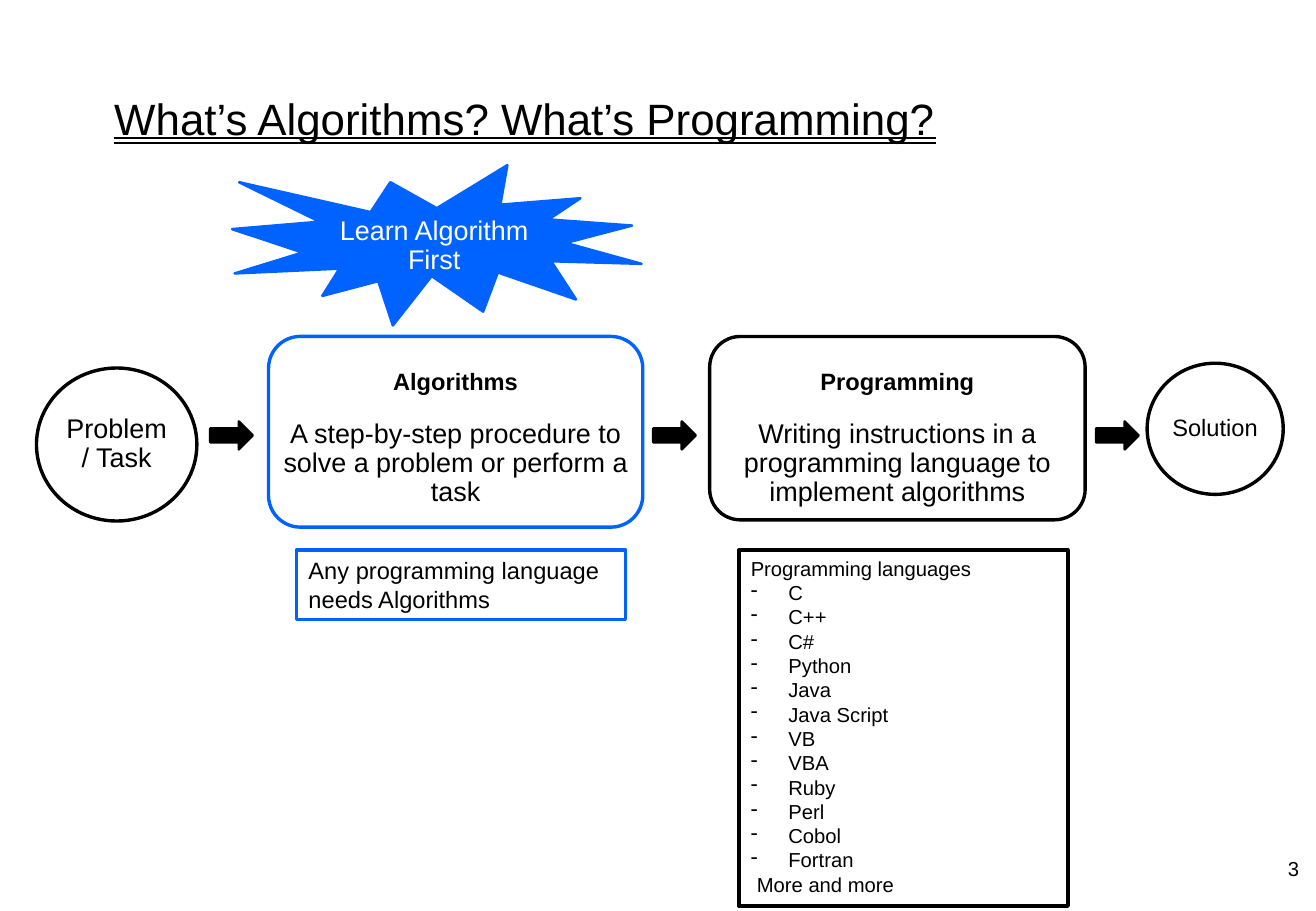
from lxml.etree import SubElement
from pptx import Presentation
from pptx.dml.color import RGBColor
from pptx.enum.shapes import MSO_SHAPE
from pptx.enum.text import MSO_ANCHOR, MSO_UNDERLINE, PP_ALIGN
from pptx.oxml.ns import qn
from pptx.util import Inches, Pt

BLACK, BLUE, WHITE = "000000", "0062FF", "FFFFFF"
LANGUAGES = ["C", "C++", "C#", "Python", "Java", "Java Script", "VB", "VBA",
             "Ruby", "Perl", "Cobol", "Fortran"]


def color(hex_value):
    """Turn a hex string into a colour."""
    return RGBColor.from_string(hex_value)


def add_outline(slide, kind, box, line=None, fill=None, width=2):
    """Place a preset shape with round line joins."""
    shape = slide.shapes.add_shape(kind, *map(Inches, box))
    shape.shadow.inherit = False
    if fill:
        shape.fill.solid()
        shape.fill.fore_color.rgb = color(fill)
    else:
        shape.fill.background()
    if line:
        shape.line.color.rgb = color(line)
        shape.line.width = Pt(width)
        SubElement(shape.line._get_or_add_ln(), qn("a:round"))
    else:
        shape.line.fill.background()
    return shape


def set_frame(shape, insets=(0.04, 0.04), anchor=MSO_ANCHOR.TOP):
    """Set wrapping, insets (horizontal, vertical) and anchor of the text."""
    frame = shape.text_frame
    frame.word_wrap = True
    frame.vertical_anchor = anchor
    frame.margin_left = frame.margin_right = Inches(insets[0])
    frame.margin_top = frame.margin_bottom = Inches(insets[1])
    return frame


def write(frame, text, size, ink=BLACK, align=PP_ALIGN.LEFT, spacing=None,
          bold=False, before=0, margin=0, bullet=None):
    """Write one paragraph, reusing the first one while it is empty."""
    first = frame.paragraphs[0]
    paragraph = frame.add_paragraph() if first.runs else first
    paragraph.text = text
    paragraph.alignment = align
    paragraph.line_spacing = spacing
    paragraph.space_before = Pt(before)
    properties = paragraph._p.get_or_add_pPr()
    properties.set("marL", str(Inches(margin)))
    if bullet:
        properties.set("indent", str(-Inches(margin)))
        SubElement(properties, qn("a:buChar"), char=bullet)
    font = paragraph.font
    font.name, font.size, font.bold = "Arial", Pt(size), bold
    font.color.rgb = color(ink)
    return paragraph


def add_title(slide, box, text):
    """Place the underlined title."""
    title = add_outline(slide, MSO_SHAPE.RECTANGLE, box, fill=WHITE)
    paragraph = write(set_frame(title, (0.46, 0.45)), text, 26, spacing=0.9, margin=0.21)
    paragraph.font.underline = MSO_UNDERLINE.DOUBLE_LINE


def add_endpoint(slide, box, text, size):
    """Place a circle that starts or ends the flow."""
    circle = add_outline(slide, MSO_SHAPE.OVAL, box, BLACK)
    write(set_frame(circle, anchor=MSO_ANCHOR.MIDDLE), text, size,
          align=PP_ALIGN.CENTER, spacing=0.9)


def add_stage(slide, box, line, heading, meaning):
    """Place a rounded stage with its heading and meaning."""
    stage = add_outline(slide, MSO_SHAPE.FLOWCHART_ALTERNATE_PROCESS, box, line)
    frame = set_frame(stage, (0.04, 0.2))
    write(frame, heading, 14, align=PP_ALIGN.CENTER, spacing=0.9, bold=True)
    write(frame, meaning, 16, align=PP_ALIGN.CENTER, spacing=0.9, before=14.5)


def add_note(slide, box, line, lead, size, items=(), closing=None):
    """Place a framed note with optional bulleted items and a closing line."""
    frame = set_frame(add_outline(slide, MSO_SHAPE.RECTANGLE, box, line), (0.1, 0.05))
    write(frame, lead, size)
    for item in items:
        write(frame, item, size, margin=0.31, bullet="-")
    if closing:
        write(frame, closing, size, margin=0.05)


def add_burst(slide, box, lines):
    """Place the starburst with its call."""
    burst = add_outline(slide, MSO_SHAPE.EXPLOSION1, box, BLUE, BLUE, 1.5)
    frame = set_frame(burst)
    for line in lines:
        write(frame, line, 16, WHITE, PP_ALIGN.CENTER, 0.9)


def add_page_number(slide, box, number):
    """Place the page number at the lower right."""
    page = slide.shapes.add_textbox(*map(Inches, box))
    write(set_frame(page, (0, 0), MSO_ANCHOR.MIDDLE), number, 12, align=PP_ALIGN.RIGHT)


def main():
    """Build the slide and save it."""
    deck = Presentation()
    deck.slide_width, deck.slide_height = Inches(10.83), Inches(7.5)
    slide = deck.slides.add_slide(deck.slide_layouts[6])
    add_title(slide, (0.27, 0.35, 10.29, 1.01), "What’s Algorithms? What’s Programming?")
    add_page_number(slide, (8.52, 7.03, 2.17, 0.24), "3")
    add_endpoint(slide, (0.3, 3.03, 1.32, 1.26), "Problem / Task", 16)
    add_stage(slide, (2.21, 2.77, 3.08, 1.57), BLUE, "Algorithms",
              "A step-by-step procedure to solve a problem or perform a task")
    add_stage(slide, (5.84, 2.77, 3.09, 1.51), BLACK, "Programming",
              "Writing instructions in a programming language to implement algorithms")
    add_endpoint(slide, (9.44, 2.99, 1.12, 1.08), "Solution", 14)
    add_note(slide, (2.44, 4.53, 2.71, 0.57), BLUE,
             "Any programming language needs Algorithms", 14)
    add_note(slide, (6.08, 4.53, 2.71, 2.93), BLACK, "Programming languages", 12,
             LANGUAGES, "More and more")
    for step in range(3):
        add_outline(slide, MSO_SHAPE.RIGHT_ARROW, (1.73 + 3.645 * step, 3.47, 0.35, 0.23),
                    BLACK, BLACK, 1.5)
    add_burst(slide, (1.91, 1.36, 3.37, 1.32), ["Learn Algorithm", "First"])
    deck.save("out.pptx")


if __name__ == "__main__":
    main()
